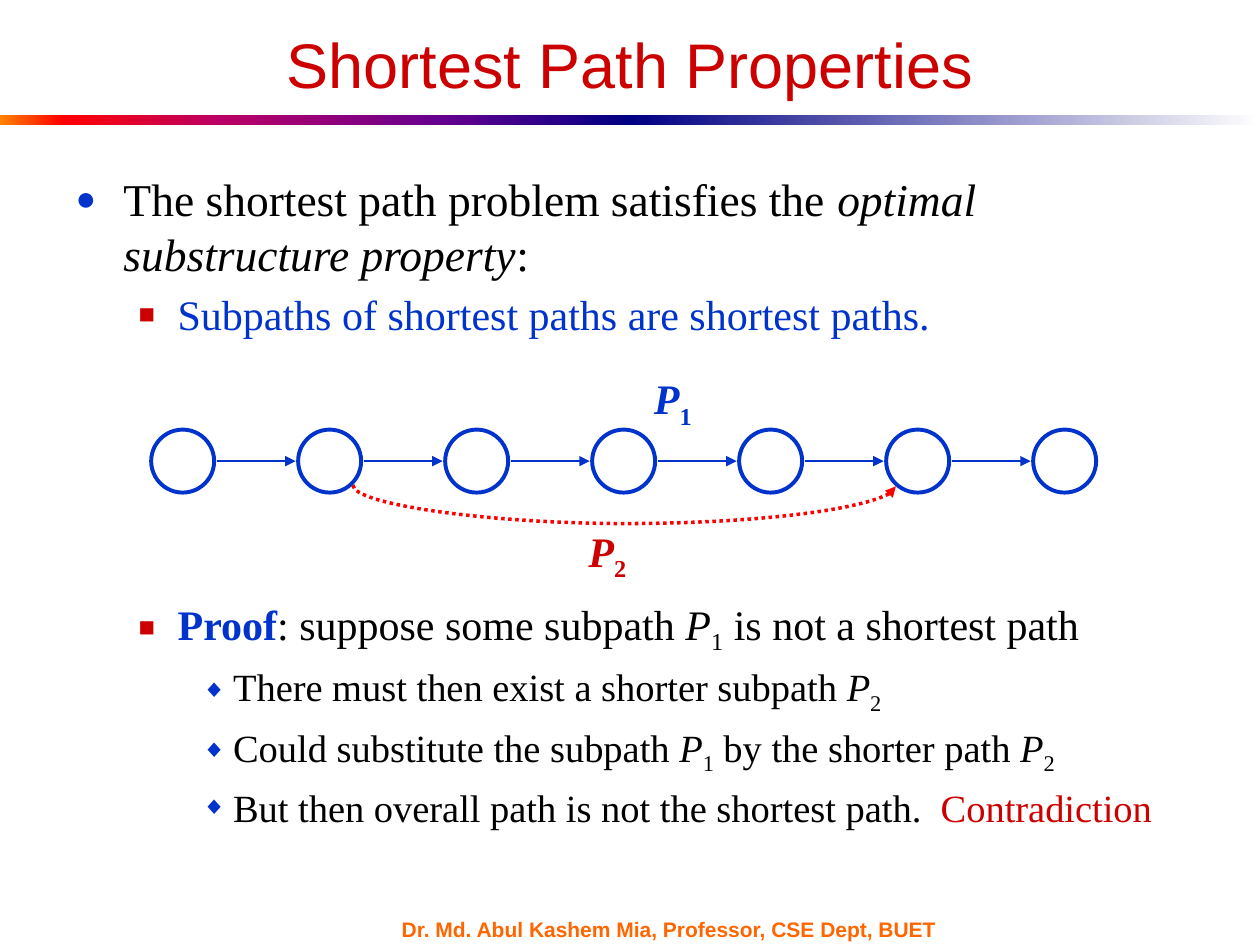
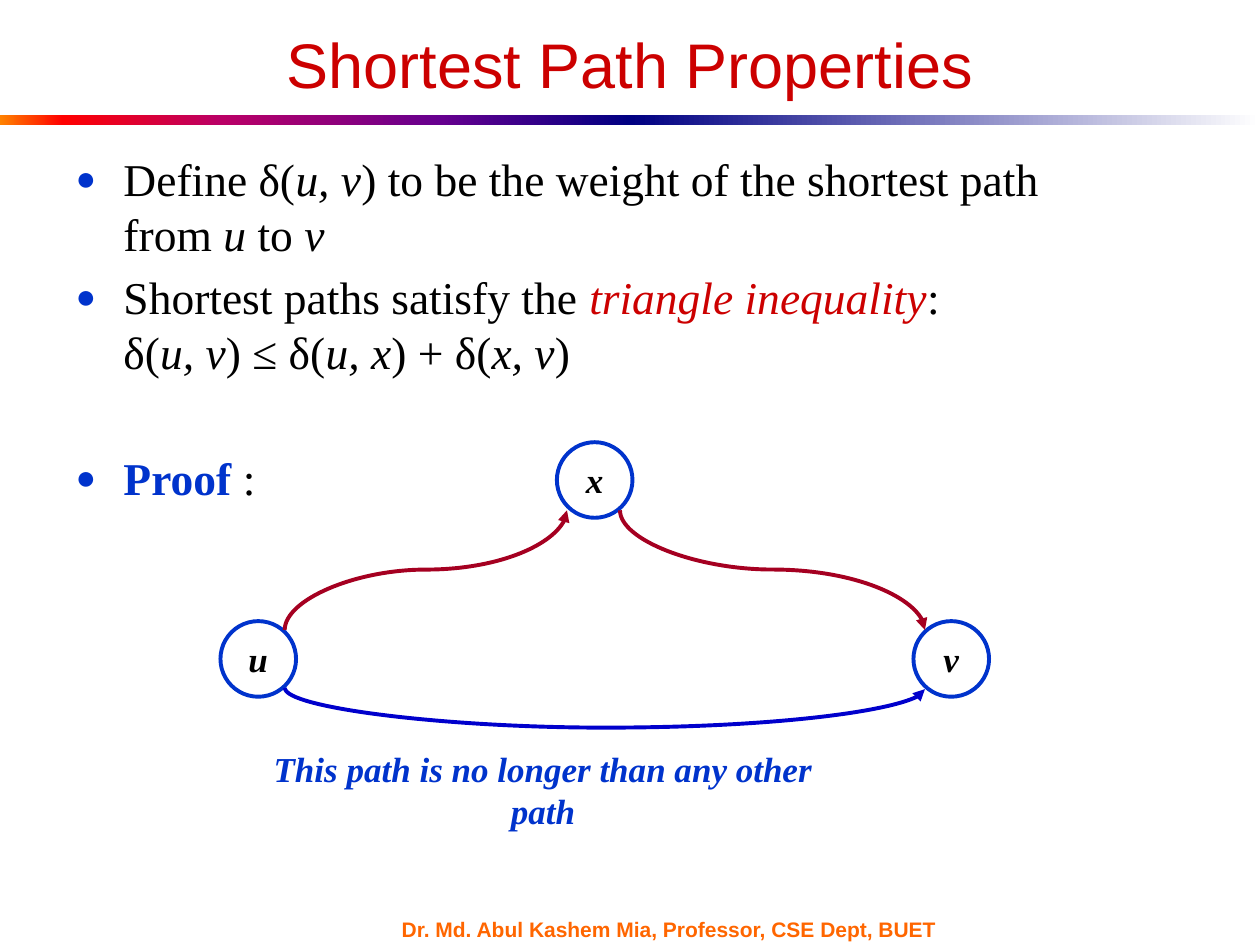
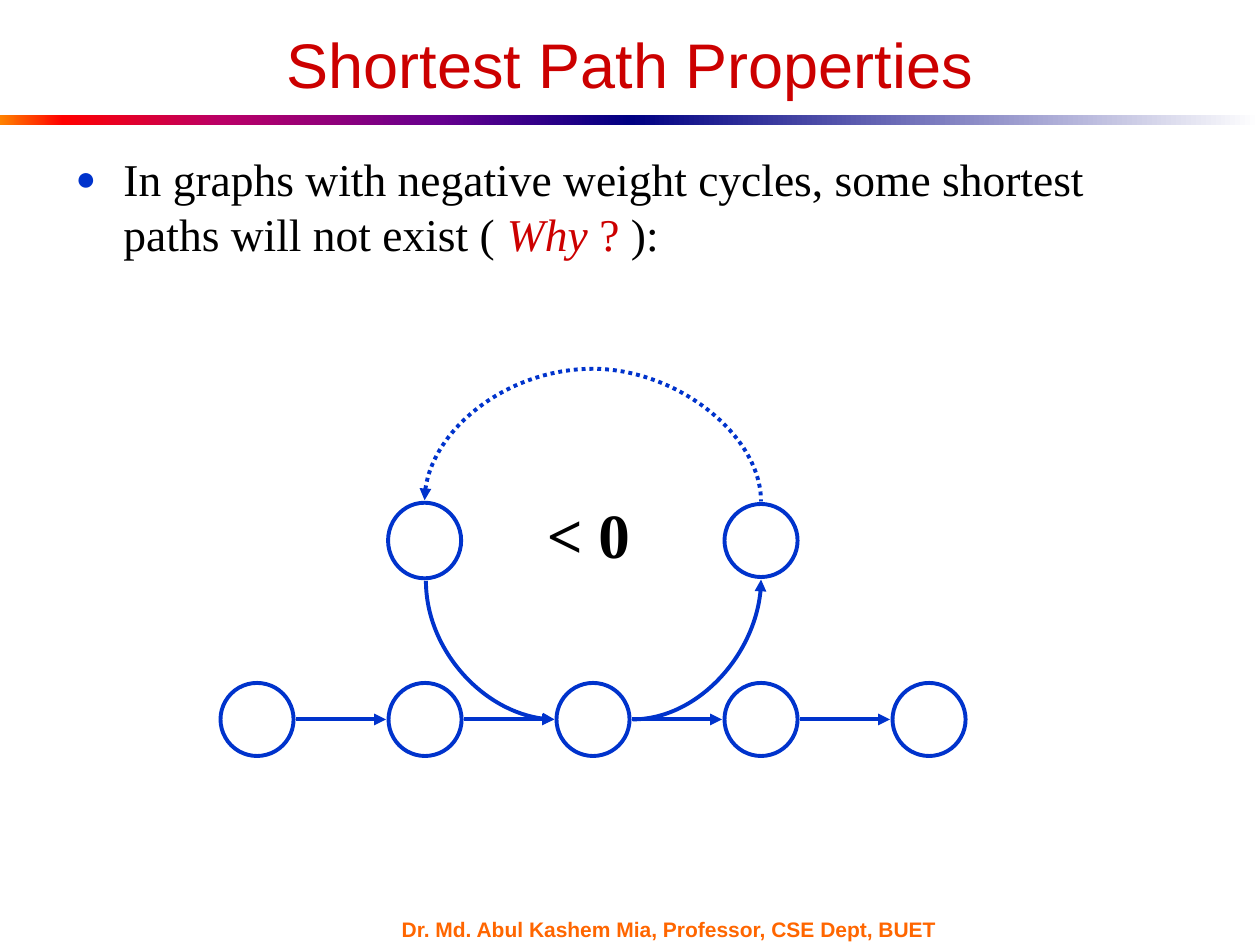
from dataclasses import dataclass

from lxml import etree
from pptx import Presentation, util as u
from pptx.dml import color
from pptx.enum import dml, shapes, text
from pptx.oxml import ns


@dataclass(frozen=True)
class Theme:
    blue: str = "0033CC"
    red: str = "CC0000"
    bright_red: str = "FF0000"
    crimson: str = "A50021"
    navy: str = "0000CC"
    orange: str = "FF6600"
    black: str = "000000"
    white: str = "FFFFFF"
    warm_band: tuple = ((0, "FF8200"), (10, "FF0000"), (35, "BA0066"), (70, "66008F"), (100, "000082"))
    cool_band: tuple = ((0, "000082"), (100, "FFFFFF"))
    title_font: str = "Arial"
    body_font: str = "Times New Roman"
    title_size: int = 36
    footer_size: int = 12
    node_size: int = 20
    label_size: int = 24
    sum_size: int = 36
    level_sizes: tuple = (26, 24, 22)
    level_indents: tuple = ((0.38, 0.38), (0.81, 0.31), (1.25, 0.25))
    bullets: tuple = (("●", "0033CC", 75), ("■", "CC0000", 65), ("◆", "0033CC", 65))
    outline: float = 2.25


def add_xml(parent, tag, **attributes):
    return etree.SubElement(parent, ns.qn(tag), attributes)


class Lecture:
    """Draws lecture slides in one shared style."""

    def __init__(self, theme):
        self.theme = theme
        self.deck = Presentation()
        self.deck.slide_width, self.deck.slide_height = u.Inches(10), u.Inches(7.5)
        self.page = None

    def new_page(self, title):
        theme = self.theme
        self.page = self.deck.slides.add_slide(self.deck.slide_layouts[1])
        self.band(0, theme.warm_band)
        self.band(5, theme.cool_band)
        self.label((3.09, 7.28, 4.67, 0.18), [("Dr. Md. Abul Kashem Mia, Professor, CSE Dept, BUET", "bold")],
                   theme.footer_size, theme.orange, theme.title_font, text.PP_ALIGN.LEFT, 0.1)
        heading = self.page.shapes.title
        self.place(heading, (0.5, 0.25, 9, 0.51))
        frame = heading.text_frame
        frame.text = title
        frame.auto_size = text.MSO_AUTO_SIZE.NONE
        frame.vertical_anchor = text.MSO_ANCHOR.MIDDLE
        frame.paragraphs[0].alignment = text.PP_ALIGN.CENTER
        self.style(frame.paragraphs[0].runs[0], theme.title_size, theme.red, theme.title_font)

    def place(self, shape, area):
        shape.left, shape.top, shape.width, shape.height = map(u.Inches, area)

    def style(self, span, size, shade, font, marks=()):
        span.font.size, span.font.name = u.Pt(size), font
        span.font.bold, span.font.italic = "bold" in marks, "italic" in marks
        named = {"blue": self.theme.blue, "red": self.theme.red}
        shade = next((named[mark] for mark in marks if mark in named), shade)
        span.font.color.rgb = color.RGBColor.from_string(shade)
        if "sub" in marks:
            span._r.get_or_add_rPr().set("baseline", "-25000")

    def add_spans(self, para, pieces, size, shade, font):
        for words, *marks in pieces:
            if words == "\n":
                para.add_line_break()
                add_xml(para._p[-1], "a:rPr", sz=str(size * 100))
                continue
            span = para.add_run()
            span.text = words
            self.style(span, size, shade, font, marks)

    def band(self, left, stops):
        strip = self.page.shapes.add_shape(shapes.MSO_SHAPE.RECTANGLE, 0, 0, 0, 0)
        self.place(strip, (left, 0.91, 5, 0.08))
        strip.shadow.inherit = False
        strip.line.fill.background()
        strip.fill.gradient()
        strip.fill.gradient_angle = 0
        stop_list = strip._element.spPr.find(".//" + ns.qn("a:gsLst"))
        for stop in list(stop_list):
            stop_list.remove(stop)
        for percent, shade in stops:
            add_xml(add_xml(stop_list, "a:gs", pos=str(percent * 1000)), "a:srgbClr", val=shade)

    def body(self, area, items):
        theme = self.theme
        holder = self.page.placeholders[1]
        self.place(holder, area)
        frame = holder.text_frame
        frame.auto_size = text.MSO_AUTO_SIZE.NONE
        for index, (level, gap, pieces) in enumerate(items):
            para = frame.add_paragraph() if index else frame.paragraphs[0]
            size = theme.level_sizes[level]
            para.level = level
            self.bullet(para, level)
            para.space_before = u.Pt((gap or size * 0.2) if index else 0)
            self.add_spans(para, pieces, size, theme.black, theme.body_font)

    def bullet(self, para, level):
        sign, shade, percent = self.theme.bullets[level]
        margin, hang = self.theme.level_indents[level]
        props = para._p.get_or_add_pPr()
        props.set("marL", str(u.Inches(margin)))
        props.set("indent", str(-u.Inches(hang)))
        add_xml(add_xml(props, "a:buClr"), "a:srgbClr", val=shade)
        add_xml(props, "a:buSzPct", val=str(percent * 1000))
        add_xml(props, "a:buFont", typeface=self.theme.title_font)
        add_xml(props, "a:buChar", char=sign)

    def label(self, area, pieces, size, shade, font=None, align=text.PP_ALIGN.CENTER, inset=0):
        box = self.page.shapes.add_textbox(*map(u.Inches, area))
        frame = box.text_frame
        frame.word_wrap = True
        frame.margin_left = frame.margin_right = u.Inches(inset)
        frame.vertical_anchor = text.MSO_ANCHOR.MIDDLE if inset else text.MSO_ANCHOR.TOP
        frame.paragraphs[0].alignment = align
        self.add_spans(frame.paragraphs[0], pieces, size, shade, font or self.theme.body_font)

    def node(self, left, top, width, height=None, name=None):
        theme = self.theme
        circle = self.page.shapes.add_shape(shapes.MSO_SHAPE.OVAL, 0, 0, 0, 0)
        self.place(circle, (left, top, width, height or width))
        circle.shadow.inherit = False
        circle.fill.solid()
        circle.fill.fore_color.rgb = color.RGBColor.from_string(theme.white)
        circle.line.color.rgb = color.RGBColor.from_string(theme.blue)
        circle.line.width = u.Pt(theme.outline)
        if name:
            frame = circle.text_frame
            frame.margin_left = frame.margin_right = 0
            frame.vertical_anchor = text.MSO_ANCHOR.MIDDLE
            para = frame.paragraphs[0]
            para.alignment = text.PP_ALIGN.CENTER
            self.add_spans(para, [(name, "bold", "italic")], theme.node_size, theme.black, theme.body_font)

    def arrow(self, start, end, shade, weight, kind=shapes.MSO_CONNECTOR.STRAIGHT, dotted=False, tip="a:tailEnd"):
        link = self.page.shapes.add_connector(kind, *map(u.Inches, (*start, *end)))
        link.line.color.rgb = color.RGBColor.from_string(shade)
        link.line.width = u.Pt(weight)
        if dotted:
            link.line.dash_style = dml.MSO_LINE.ROUND_DOT
        add_xml(link.line._get_or_add_ln(), tip, type="triangle")
        add_xml(link._element.spPr, "a:effectLst")
        return link

    def curve(self, start, end, shade, bend=None, upright=True, weight=None, **options):
        link = self.arrow(start, end, shade, weight or self.theme.outline, shapes.MSO_CONNECTOR.CURVE, **options)
        (x1, y1), (x2, y2) = start, end
        outline = link._element.spPr.find(ns.qn("a:prstGeom"))
        if bend is None:
            outline.set("prst", "curvedConnector2")
        else:
            guides = outline.find(ns.qn("a:avLst"))
            if guides is None:
                guides = add_xml(outline, "a:avLst")
            share = round((bend - y1) / (y2 - y1) * 100000)
            add_xml(guides, "a:gd", name="adj1", fmla=f"val {share}")
        if upright:
            across, down = x2 - x1, abs(y2 - y1)
            self.place(link, ((x1 + x2 - down) / 2, (y1 + y2 - across) / 2, down, across))
            frame = link._element.spPr.find(ns.qn("a:xfrm"))
            frame.set("rot", str(270 * 60000))
            frame.set("flipH", "1" if y2 > y1 else "0")
            frame.set("flipV", "0")

    def chain(self, count, left, top, size, pitch, weight):
        middle = top + size / 2
        for index in range(count):
            x = left + index * pitch
            self.node(x, top, size)
            if index:
                self.arrow((x - pitch + size + 0.02, middle), (x - 0.02, middle), self.theme.blue, weight)


def subpaths(lecture):
    theme = lecture.theme
    first, second = ([("P", "italic"), (digit, "sub")] for digit in "12")
    lecture.body((0.5, 1.31, 9, 5.91), [
        (0, None, [("The shortest path problem satisfies the ",), ("optimal substructure property", "italic"), (":",)]),
        (1, None, [("Subpaths of shortest paths are shortest paths.", "blue")]),
        (1, 148, [("Proof", "bold", "blue"), (": suppose some subpath ",), *first, (" is not a shortest path",)]),
        (2, None, [("There must then exist a shorter subpath ",), *second]),
        (2, None, [("Could substitute the subpath ",), *first, (" by the shorter path ",), *second]),
        (2, None, [("But then overall path is not the shortest path.  ",), ("Contradiction", "red")]),
    ])
    lecture.chain(7, 1.2, 3.41, 0.5, 7 / 6, 1.5)
    lecture.curve((2.8, 3.85), (7.11, 3.86), theme.bright_red, 4.16, weight=2, dotted=True)
    for left, top, digit, shade in ((5.08, 2.91, "1", theme.blue), (4.56, 4.12, "2", theme.red)):
        lecture.label((left, top, 0.52, 0.5), [("P", "bold", "italic"), (digit, "bold", "sub")],
                      theme.label_size, shade)


def triangle_inequality(lecture):
    theme = lecture.theme
    lecture.body((0.5, 1.15, 8.6, 4.75), [
        (0, None, [("Define δ(",), ("u, v", "italic"), (") to be the weight of the shortest path from ",),
                   ("u", "italic"), (" to ",), ("v", "italic")]),
        (0, None, [("Shortest paths satisfy the ",), ("triangle inequality", "italic", "red"), (":",), ("\n",),
                   ("δ(",), ("u, v", "italic"), (") ≤ δ(",), ("u, x", "italic"), (") + δ(",),
                   ("x, v", "italic"), (")",)]),
        (0, 41, [("Proof ", "bold", "blue"), (":",)]),
    ])
    for name, left, top in (("x", 4.42, 3.51), ("u", 1.75, 4.93), ("v", 7.25, 4.93)):
        lecture.node(left, top, 0.6, name=name)
    lecture.curve((2.26, 5), (4.5, 4.05), theme.crimson, 4.52)
    lecture.curve((4.92, 4.05), (7.34, 5), theme.crimson, 4.52)
    lecture.curve((2.26, 5.46), (7.34, 5.47), theme.navy, 5.78)
    lecture.label((2.16, 5.88, 4.3, 0.8), [("This path is no longer than any other path", "bold", "italic")],
                  theme.node_size, theme.blue)


def negative_cycles(lecture):
    theme = lecture.theme
    lecture.body((0.5, 1.15, 9, 4.75), [
        (0, None, [("In graphs with negative weight cycles, some shortest paths will not exist ( ",),
                   ("Why ", "italic", "red"), ("? ", "red"), ("):",)]),
    ])
    lecture.chain(5, 1.75, 5.42, 0.58, 4 / 3, theme.outline)
    lecture.node(3.08, 3.99, 0.58, 0.6)
    lecture.node(5.75, 4, 0.58)
    lecture.curve((5.02, 5.71), (6.04, 4.6), theme.blue, upright=False)
    lecture.curve((3.38, 4.61), (4.4, 5.71), theme.blue)
    lecture.curve((3.37, 3.97), (6.04, 3.98), theme.blue, 2.91, dotted=True, tip="a:headEnd")
    lecture.label((4.17, 3.88, 1, 0.7), [("< 0", "bold")], theme.sum_size, theme.black)


def main():
    lecture = Lecture(Theme())
    for fill_page in (subpaths, triangle_inequality, negative_cycles):
        lecture.new_page("Shortest Path Properties")
        fill_page(lecture)
    lecture.deck.save("out.pptx")


if __name__ == "__main__":
    main()
